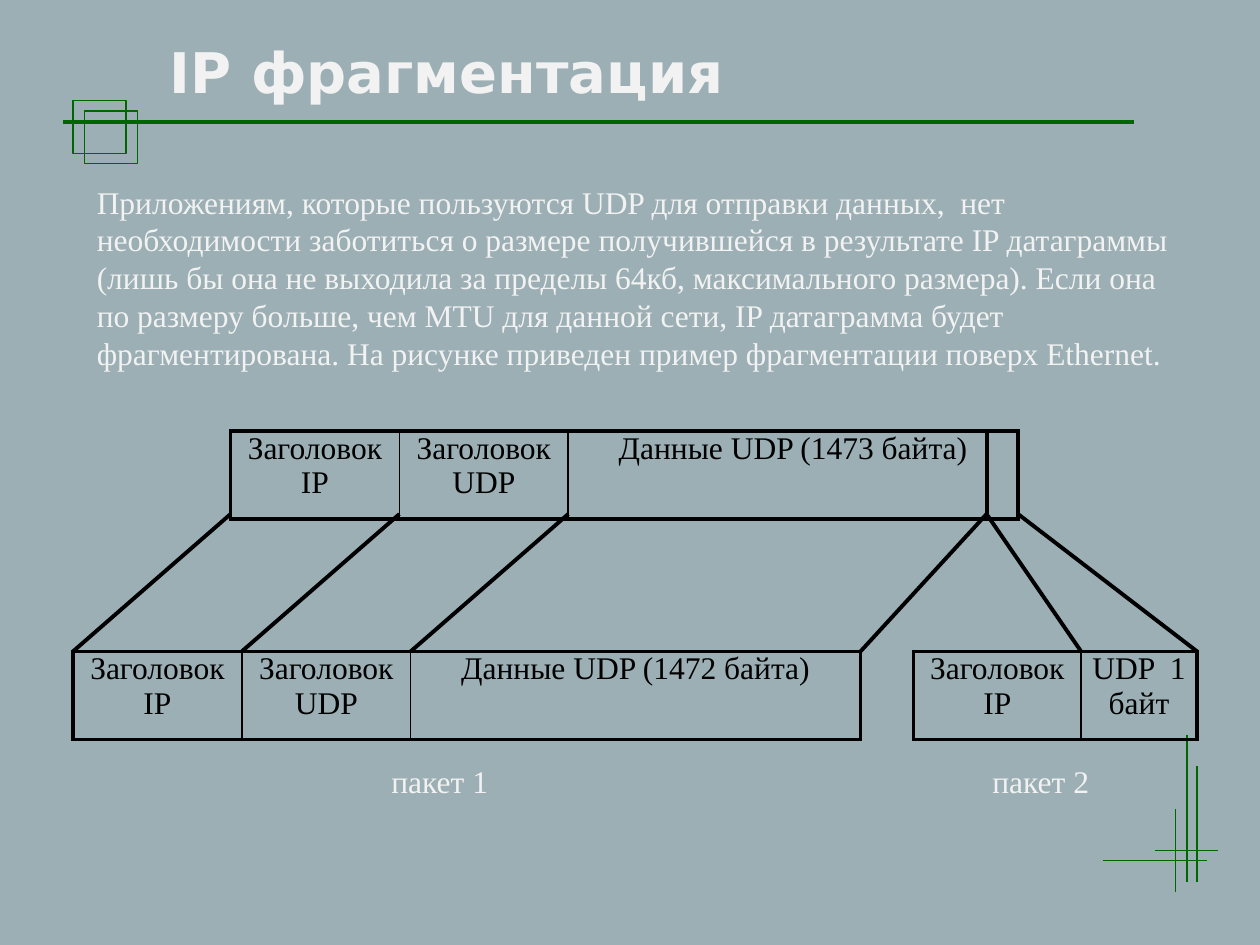
from dataclasses import dataclass
from itertools import accumulate

from lxml.etree import SubElement
from pptx import Presentation
from pptx.dml.color import RGBColor
from pptx.enum.shapes import MSO_CONNECTOR, MSO_SHAPE
from pptx.enum.text import PP_ALIGN
from pptx.oxml.ns import qn
from pptx.util import Inches, Pt


@dataclass(frozen=True)
class Theme:
    background: str = "9BAFB5"
    accent: str = "006600"
    ink: str = "000000"
    light: str = "F2F2F2"
    title_font: str = "DejaVu Sans"
    body_font: str = "Times New Roman"
    title_size: float = 32
    body_size: float = 18
    thin: float = 0.75
    divider: float = 1
    thick: float = 2.25


@dataclass(frozen=True)
class Line:
    x1: float
    y1: float
    x2: float
    y2: float
    color: str
    width: float


@dataclass(frozen=True)
class Packet:
    left: float
    top: float
    fields: tuple[tuple[str, float], ...]

    def edges(self) -> list[float]:
        return list(accumulate((w for _, w in self.fields), initial=self.left))


@dataclass(frozen=True)
class Label:
    text: str
    left: float
    top: float
    width: float
    height: float
    font: str
    size: float
    bold: bool = False
    centered: bool = False


THEME = Theme()
ROW_HEIGHT = 0.7
PACKET_TOP, FRAGMENT_TOP = 3.42, 5.17
SPLIT_X, SPLIT_Y = 7.83, 4.08

presentation = Presentation()
presentation.slide_width, presentation.slide_height = Inches(10), Inches(7.5)
slide = presentation.slides.add_slide(presentation.slide_layouts[6])
slide.background.fill.solid()
slide.background.fill.fore_color.rgb = RGBColor.from_string(THEME.background)


def draw_line(line: Line) -> None:
    connector = slide.shapes.add_connector(
        MSO_CONNECTOR.STRAIGHT,
        Inches(line.x1), Inches(line.y1), Inches(line.x2), Inches(line.y2))
    connector.line.color.rgb = RGBColor.from_string(line.color)
    connector.line.width = Pt(line.width)
    SubElement(connector._element.spPr, qn("a:effectLst"))


def draw_square(left: float, top: float, side: float) -> None:
    square = slide.shapes.add_shape(
        MSO_SHAPE.RECTANGLE, Inches(left), Inches(top), Inches(side), Inches(side))
    square.shadow.inherit = False
    square.fill.background()
    square.line.color.rgb = RGBColor.from_string(THEME.accent)
    square.line.width = Pt(THEME.thin)


def style_paragraph(paragraph, font: str, size: float, color: str, bold: bool = False) -> None:
    paragraph.font.name = font
    paragraph.font.size = Pt(size)
    paragraph.font.bold = bold
    paragraph.font.color.rgb = RGBColor.from_string(color)


def draw_label(label: Label) -> None:
    box = slide.shapes.add_textbox(
        Inches(label.left), Inches(label.top), Inches(label.width), Inches(label.height))
    frame = box.text_frame
    frame.word_wrap = True
    frame.text = label.text
    paragraph = frame.paragraphs[0]
    paragraph.alignment = PP_ALIGN.CENTER if label.centered else PP_ALIGN.LEFT
    style_paragraph(paragraph, label.font, label.size, THEME.light, label.bold)


def set_border(cell, side: str, width: float) -> None:
    border = SubElement(cell._tc.get_or_add_tcPr(), qn(f"a:ln{side}"), w=str(Pt(width)))
    fill = SubElement(border, qn("a:solidFill"))
    SubElement(fill, qn("a:srgbClr"), val=THEME.ink)


def draw_packet(packet: Packet) -> None:
    count = len(packet.fields)
    width = sum(w for _, w in packet.fields)
    table = slide.shapes.add_table(
        1, count, Inches(packet.left), Inches(packet.top),
        Inches(width), Inches(ROW_HEIGHT)).table
    table.first_row = table.horz_banding = False
    for index, (text, field_width) in enumerate(packet.fields):
        table.columns[index].width = Inches(field_width)
        cell = table.cell(0, index)
        cell.text = text
        cell.margin_left = cell.margin_right = cell.margin_top = cell.margin_bottom = 0
        paragraph = cell.text_frame.paragraphs[0]
        paragraph.alignment = PP_ALIGN.CENTER
        style_paragraph(paragraph, THEME.body_font, THEME.body_size, THEME.ink)
        # Outer edges are thick, inner dividers thin
        set_border(cell, "L", THEME.thick if index == 0 else THEME.divider)
        set_border(cell, "R", THEME.thick if index == count - 1 else THEME.divider)
        set_border(cell, "T", THEME.thick)
        set_border(cell, "B", THEME.thick)
        cell.fill.background()


# Corner ornament and title rule
for ends in ((9.42, 5.83, 9.42, 7), (8.75, 6.83, 9.58, 6.83), (9.33, 6.42, 9.33, 7.08),
             (9.17, 6.75, 9.67, 6.75), (9.5, 7, 9.5, 6.08)):
    draw_line(Line(*ends, THEME.accent, THEME.thin))
draw_line(Line(0.5, 0.97, 9, 0.97, THEME.accent, THEME.thick))
for left, top in ((0.58, 0.8), (0.67, 0.88)):
    draw_square(left, top, 0.42)

# Title and explanation
draw_label(Label("IP фрагментация", 1.25, 0.25, 4.66, 0.63,
                 THEME.title_font, THEME.title_size, bold=True))
draw_label(Label(
    "Приложениям, которые пользуются UDP для отправки данных,  нет необходимости "
    "заботиться о размере получившейся в результате IP датаграммы (лишь бы она не "
    "выходила за пределы 64кб, максимального размера). Если она по размеру больше, "
    "чем MTU для данной сети, IP датаграмма будет фрагментирована. На рисунке "
    "приведен пример фрагментации поверх Ethernet.",
    0.67, 1.4, 8.83, 1.6, THEME.body_font, THEME.body_size))

# Datagram and its two fragments
headers = (("Заголовок IP", 1.34), ("Заголовок UDP", 1.34))
datagram = Packet(1.83, PACKET_TOP, (*headers, ("Данные UDP (1473 байта)", 3.57)))
first_fragment = Packet(0.58, FRAGMENT_TOP, (*headers, ("Данные UDP (1472 байта)", 3.57)))
second_fragment = Packet(7.25, FRAGMENT_TOP, (("Заголовок IP", 1.33), ("UDP  1 байт", 0.92)))
for packet in (datagram, first_fragment, second_fragment):
    draw_packet(packet)

# Packet captions
for caption, left in (("пакет 1", 3), ("пакет 2", 7.77)):
    draw_label(Label(caption, left, 6, 0.98, 0.4,
                     THEME.body_font, THEME.body_size, centered=True))

# Where each part of the datagram goes
whole, first, second = datagram.edges(), first_fragment.edges(), second_fragment.edges()
sources = (*whole[:3], SPLIT_X, SPLIT_X, whole[3])
for source, target in zip(sources, (*first, *second[1:])):
    draw_line(Line(source, SPLIT_Y, target, FRAGMENT_TOP, THEME.ink, THEME.thick))
draw_line(Line(SPLIT_X, PACKET_TOP, SPLIT_X, SPLIT_Y, THEME.ink, THEME.thick))

presentation.save("out.pptx")
